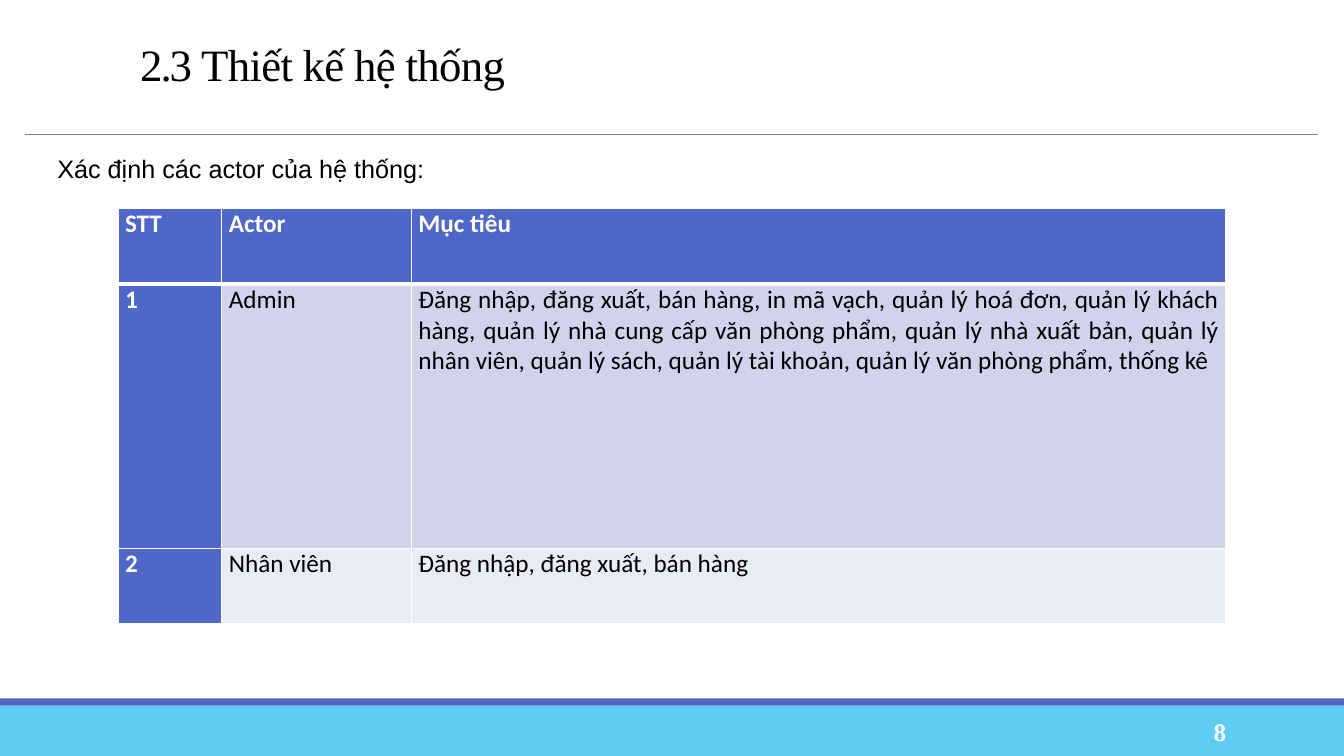
"""Build the slide that lists the actors of the system and their goals."""
from dataclasses import dataclass

from lxml.etree import SubElement
from pptx import Presentation
from pptx.dml.color import RGBColor
from pptx.enum.shapes import MSO_CONNECTOR as Connector, MSO_SHAPE as Shape
from pptx.enum.text import MSO_ANCHOR as Anchor, PP_ALIGN as Align
from pptx.oxml import parse_xml
from pptx.oxml.ns import nsdecls, qn
from pptx.util import Inches, Pt


@dataclass(frozen=True)
class Theme:
    accent: str = "4E67C8"
    footer: str = "5ECCF3"
    rule: str = "808080"
    white: str = "FFFFFF"
    black: str = "000000"
    bands: tuple[str, ...] = ("D0D3EB", "E9EBF5")
    title_size: int = 32
    body_size: int = 18
    serif: str = "Times New Roman"
    sans: str = "Arial"
    table_font: str = "Calibri"


@dataclass(frozen=True)
class Area:
    left: float
    top: float
    width: float
    height: float

    def lengths(self) -> tuple:
        return tuple(Inches(v) for v in (self.left, self.top, self.width, self.height))


@dataclass(frozen=True)
class Bar:
    area: Area
    color: str


@dataclass(frozen=True)
class Style:
    font: str
    color: str
    size: int
    bold: bool = False
    spacing: float = 0


@dataclass(frozen=True)
class Label:
    area: Area
    text: str
    style: Style
    align: Align = Align.LEFT
    anchor: Anchor = Anchor.TOP


THEME = Theme()
BARS = (
    Bar(Area(0, 7, 13.33, 0.5), THEME.footer),
    Bar(Area(0, 6.93, 13.33, 0.07), THEME.accent),
)
LABELS = (
    Label(Area(10.83, 7.06, 1.43, 0.4), "8",
          Style(THEME.serif, THEME.white, THEME.body_size, bold=True),
          Align.RIGHT, Anchor.MIDDLE),
    Label(Area(0.47, 1.47, 6.19, 0.4), "Xác định các actor của hệ thống:",
          Style(THEME.sans, THEME.black, THEME.body_size)),
)
TITLE_AREA = Area(1.29, 0.4, 11.78, 0.96)
TITLE_SPANS = (("2.3 ", -1.5), ("Thiết kế hệ thống", -0.5))
TABLE_AREA = Area(1.17, 2.07, 10.99, 4.12)
COLUMN_WIDTHS = (1.03, 1.88, 8.08)
ROW_HEIGHTS = (0.75, 2.62, 0.75)
ACTORS = (
    ("STT", "Actor", "Mục tiêu"),
    ("1", "Admin",
     "Đăng nhập, đăng xuất, bán hàng, in mã vạch, quản lý hoá đơn, "
     "quản lý khách hàng, quản lý nhà cung cấp văn phòng phẩm, "
     "quản lý nhà xuất bản, quản lý nhân viên, quản lý sách, "
     "quản lý tài khoản, quản lý văn phòng phẩm, thống kê"),
    ("2", "Nhân viên", "Đăng nhập, đăng xuất, bán hàng"),
)


def add_span(para, text: str, style: Style) -> None:
    span = para.add_run()
    span.text = text
    span.font.name = style.font
    span.font.size = Pt(style.size)
    span.font.bold = style.bold
    span.font.color.rgb = RGBColor.from_string(style.color)
    if style.spacing:
        span.font._element.set("spc", str(round(style.spacing * 100)))


def add_bar(page, bar: Bar) -> None:
    box = page.shapes.add_shape(Shape.RECTANGLE, *bar.area.lengths())
    box.shadow.inherit = False
    box.fill.solid()
    box.fill.fore_color.rgb = RGBColor.from_string(bar.color)
    box.line.fill.background()


def add_rule(page) -> None:
    rule = page.shapes.add_connector(
        Connector.STRAIGHT, Inches(0.25), Inches(1.33), Inches(13.07), Inches(1.33))
    rule.line.color.rgb = RGBColor.from_string(THEME.rule)
    rule.line.width = Pt(0.5)
    SubElement(rule._element.spPr, qn("a:effectLst"))


def add_title(page) -> None:
    title = page.shapes.title
    title.left, title.top, title.width, title.height = TITLE_AREA.lengths()
    title.text_frame.vertical_anchor = Anchor.TOP
    para = title.text_frame.paragraphs[0]
    para.alignment = Align.LEFT
    para.line_spacing = 0.85
    for text, spacing in TITLE_SPANS:
        add_span(para, text,
                 Style(THEME.serif, THEME.black, THEME.title_size, spacing=spacing))


def add_label(page, label: Label) -> None:
    frame = page.shapes.add_textbox(*label.area.lengths()).text_frame
    frame.word_wrap = True
    frame.vertical_anchor = label.anchor
    para = frame.paragraphs[0]
    para.alignment = label.align
    add_span(para, label.text, label.style)


def set_borders(cell, row: int) -> None:
    widths = {"L": 1, "R": 1, "T": 3 if row == 1 else 1, "B": 3 if row == 0 else 1}
    properties = cell._tc.get_or_add_tcPr()
    for position, (side, width) in enumerate(widths.items()):
        properties.insert(position, parse_xml(
            f'<a:ln{side} {nsdecls("a")} w="{Pt(width)}"><a:solidFill>'
            f'<a:srgbClr val="{THEME.white}"/></a:solidFill></a:ln{side}>'))


def fill_cell(cell, text: str, row: int, column: int) -> None:
    heading = row == 0 or column == 0
    cell.margin_left = cell.margin_right = Inches(0.07)
    cell.margin_top = cell.margin_bottom = 0
    cell.fill.solid()
    cell.fill.fore_color.rgb = RGBColor.from_string(
        THEME.accent if heading else THEME.bands[row - 1])
    set_borders(cell, row)
    para = cell.text_frame.paragraphs[0]
    para.alignment = Align.JUSTIFY
    color = THEME.white if heading else THEME.black
    add_span(para, text, Style(THEME.table_font, color, THEME.body_size, heading))


def add_actor_table(page) -> None:
    table = page.shapes.add_table(
        len(ROW_HEIGHTS), len(COLUMN_WIDTHS), *TABLE_AREA.lengths()).table
    table.first_col = True
    for column, width in zip(table.columns, COLUMN_WIDTHS):
        column.width = Inches(width)
    for row, height in zip(table.rows, ROW_HEIGHTS):
        row.height = Inches(height)
    for row, texts in enumerate(ACTORS):
        for column, text in enumerate(texts):
            fill_cell(table.cell(row, column), text, row, column)


def main() -> None:
    deck = Presentation()
    deck.slide_width, deck.slide_height = Inches(13.33), Inches(7.5)
    page = deck.slides.add_slide(deck.slide_layouts[5])
    for bar in BARS:
        add_bar(page, bar)
    add_rule(page)
    add_title(page)
    for label in LABELS:
        add_label(page, label)
    add_actor_table(page)
    deck.save("out.pptx")


if __name__ == "__main__":
    main()
